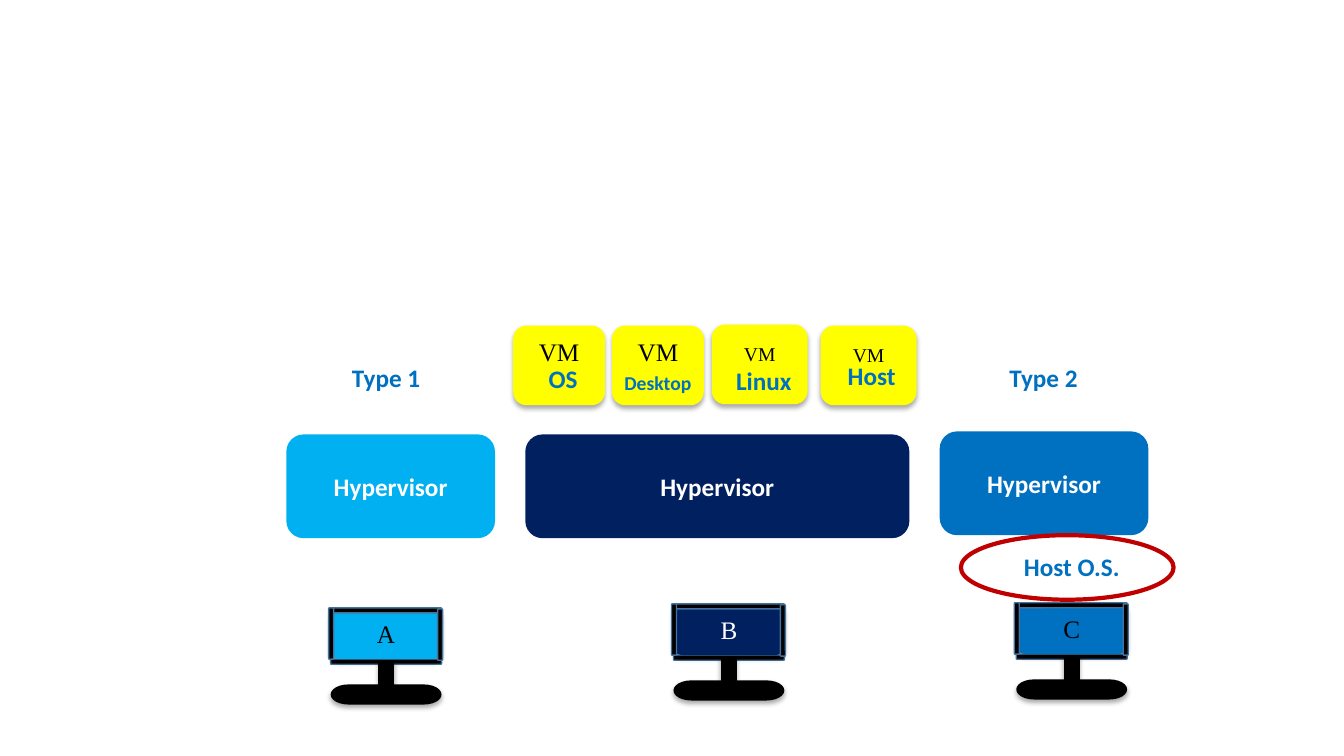
from dataclasses import dataclass
from lxml.etree import SubElement
from pptx import Presentation
from pptx.dml.color import RGBColor
from pptx.enum.shapes import MSO_SHAPE as Kind
from pptx.enum.text import MSO_ANCHOR, PP_ALIGN
from pptx.oxml.ns import qn
from pptx.util import Inches, Pt


@dataclass(frozen=True)
class Theme:
    sans: str = "Calibri"
    serif: str = "Times New Roman"
    large: int = 18
    small: int = 14
    black: str = "000000"
    white: str = "FFFFFF"
    sky: str = "00B0F0"
    navy: str = "002060"
    blue: str = "0070C0"
    yellow: str = "FFFF00"
    red: str = "C00000"
    edge: str = "43739E"


theme = Theme()

# text, left, top, width, height, size
types = [
    ("Type 1", 2.7, 3.55, 2.26, 0.4, theme.large),
    ("Type 2", 9.22, 3.55, 2.26, 0.4, theme.large),
]
host = ("Host O.S.", 9.5, 5.42, 2.26, 0.4, theme.large)
systems = [
    ("OS", 5.14, 3.56, 0.89, 0.4, theme.large),
    ("Desktop", 5.92, 3.63, 1.21, 0.34, theme.small),
    ("Linux", 7.13, 3.58, 0.89, 0.4, theme.large),
    ("Host", 8.2, 3.53, 0.89, 0.4, theme.large),
]
# left, top, width, fill
hypers = [
    (5.21, 4.31, 3.81, theme.navy),
    (2.84, 4.31, 2.07, theme.sky),
    (9.32, 4.28, 2.07, theme.blue),
]
# letter, left, top, fill, text colour
screens = [
    ("A", 3.28, 6.03, theme.sky, theme.black),
    ("B", 6.68, 5.99, theme.navy, theme.white),
    ("C", 10.08, 5.98, theme.blue, theme.black),
]
# left, top, width, text size, top margin
tiles = [
    (5.09, 3.23, 0.91, theme.large, 0.07),
    (6.07, 3.23, 0.91, theme.large, 0.07),
    (7.06, 3.22, 0.95, theme.small, 0.13),
    (8.14, 3.23, 0.95, theme.small, 0.13),
]


def write(shape, text, size, color, font, bold=False):
    frame = shape.text_frame
    frame.word_wrap = True
    para = frame.paragraphs[0]
    para.text = text
    para.alignment = PP_ALIGN.CENTER
    para.font.name = font
    para.font.size = Pt(size)
    para.font.bold = bold
    para.font.color.rgb = RGBColor.from_string(color)
    return frame


def draw(shapes, kind, box, fill=None, line=None, width=1, shade=False):
    """Add a preset shape with an optional fill, outline and soft drop shadow."""
    shape = shapes.add_shape(kind, *map(Inches, box))
    if fill:
        shape.fill.solid()
        shape.fill.fore_color.rgb = RGBColor.from_string(fill)
    else:
        shape.fill.background()
    if line:
        shape.line.color.rgb = RGBColor.from_string(line)
        shape.line.width = Pt(width)
    else:
        shape.line.fill.background()
    shape.shadow.inherit = False
    if shade:
        effects = shape.element.spPr.find(qn("a:effectLst"))
        outer = SubElement(effects, qn("a:outerShdw"), blurRad=str(Pt(3.5)),
                           dist=str(Pt(2.2)), dir="5400000", rotWithShape="0")
        color = SubElement(outer, qn("a:srgbClr"), val=theme.black)
        SubElement(color, qn("a:alpha"), val="32000")
    return shape


def label(shapes, text, left, top, width, height, size):
    box = shapes.add_textbox(*map(Inches, (left, top, width, height)))
    write(box, text, size, theme.blue, theme.sans, True)


def monitor(shapes, letter, left, top, fill, color):
    group = shapes.add_group_shape().shapes
    wide, high, thin = 1.1, 0.51, 0.05

    def bar(x, y, width, height):
        draw(group, Kind.ROUNDED_RECTANGLE, (left + x, top + y, width, height),
             theme.black, theme.edge)

    bar(0, high, wide, thin)
    screen = draw(group, Kind.ROUNDED_RECTANGLE, (left, top, wide, high),
                  fill, shade=True)
    frame = write(screen, letter, theme.large, color, theme.serif)
    frame.vertical_anchor = MSO_ANCHOR.MIDDLE
    for kind, x, y, width, height in (
        (Kind.MATH_MINUS, 0.44, 0.05, 0.22, 1.22),
        (Kind.FLOWCHART_TERMINATOR, 0, 0.76, wide, 0.2),
    ):
        draw(group, kind, (left + x, top + y, width, height),
             theme.black, shade=True)
    bar(0, 0, wide, thin)
    bar(-0.02, 0, thin, high)
    bar(1.06, 0.01, thin, high)


def main():
    deck = Presentation()
    deck.slide_width, deck.slide_height = Inches(13.33), Inches(7.5)
    shapes = deck.slides.add_slide(deck.slide_layouts[6]).shapes

    for item in types:
        label(shapes, *item)
    for left, top, width, fill in hypers:
        block = draw(shapes, Kind.ROUNDED_RECTANGLE, (left, top, width, 1.03), fill)
        frame = write(block, "Hypervisor", theme.large, theme.white, theme.sans, True)
        frame.vertical_anchor = MSO_ANCHOR.MIDDLE
    for item in screens:
        monitor(shapes, *item)
    for left, top, width, size, margin in tiles:
        tile = draw(shapes, Kind.ROUNDED_RECTANGLE, (left, top, width, 0.79),
                    theme.yellow, shade=True)
        frame = write(tile, "VM", size, theme.black, theme.serif)
        frame.vertical_anchor = MSO_ANCHOR.TOP
        frame.margin_top = Inches(margin)
    label(shapes, *host)
    draw(shapes, Kind.OVAL, (9.53, 5.31, 2.11, 0.64), line=theme.red, width=3)
    for item in systems:
        label(shapes, *item)

    deck.save("out.pptx")


if __name__ == "__main__":
    main()
